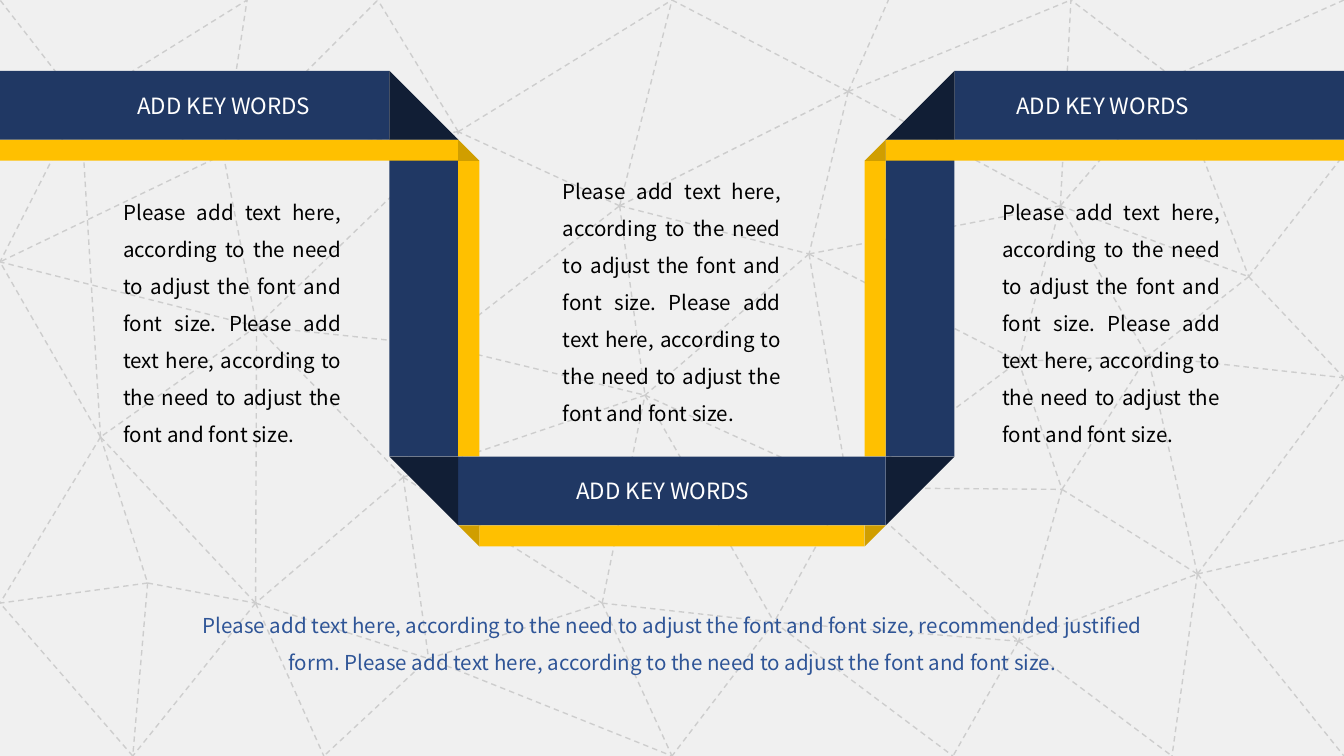
from lxml.etree import SubElement
from pptx import Presentation
from pptx.dml.color import RGBColor
from pptx.enum.dml import MSO_LINE
from pptx.enum.shapes import MSO_CONNECTOR, MSO_SHAPE
from pptx.enum.text import MSO_AUTO_SIZE, PP_ALIGN
from pptx.oxml.ns import qn
from pptx.util import Cm, Pt

PAPER = RGBColor(0xF0, 0xF0, 0xF0)
MESH_GREY = RGBColor(0xCD, 0xCD, 0xCD)
NAVY = RGBColor(0x20, 0x38, 0x64)
NAVY_FOLD = RGBColor(0x11, 0x1E, 0x35)
GOLD = RGBColor(0xFF, 0xC0, 0x00)
GOLD_FOLD = RGBColor(0xD0, 0x9E, 0x00)
WHITE = RGBColor(0xFF, 0xFF, 0xFF)
BLACK = RGBColor(0x00, 0x00, 0x00)
BLUE = RGBColor(0x2F, 0x55, 0x97)
FONT = "Noto Sans CJK SC"

# All lengths are in centimetres.
SLIDE_WIDTH, SLIDE_HEIGHT = 25.4, 14.29
BAND, TRIM = 1.3, 0.4  # widths of the navy ribbon and of its gold edge
LEFT_OUTER = 7.36
LEFT_INNER = LEFT_OUTER + BAND
RIGHT_OUTER = SLIDE_WIDTH - LEFT_OUTER
RIGHT_INNER = RIGHT_OUTER - BAND
TOP, BOTTOM = 1.34, 8.63  # upper edges of the horizontal ribbons
TOP_TRIM, BOTTOM_TRIM = TOP + BAND, BOTTOM + BAND

# Corners of the background mesh, and the corners each one is joined to
MESH_POINTS = {
    "A": (0, 0), "B": (4.67, 0), "C": (7.14, 0), "D": (12.7, 0),
    "E": (16.79, 0), "F": (20.24, 0), "G": (25.4, 0),
    "H": (1.52, 1.96), "I": (4.22, 2.92), "J": (8.66, 2.49),
    "K": (16.03, 1.73), "L": (22.15, 1.45), "M": (25.4, 2.92),
    "N": (0, 4.95), "O": (4.85, 6.17), "P": (8.31, 6.53),
    "Q": (11.71, 3.89), "R": (15.29, 4.8), "S": (20.04, 3.89),
    "T": (23.6, 5.23), "U": (1.9, 8.26), "V": (7.62, 9.02),
    "W": (12.19, 7.47), "X": (16.03, 9.22), "Y": (19.25, 6.83),
    "Z": (21.69, 6.73), "a": (25.4, 7.14), "b": (20.07, 9.25),
    "c": (0, 11.4), "d": (2.79, 11.02), "e": (4.83, 11.4),
    "f": (8.1, 12.45), "g": (11.38, 11.4), "h": (14.63, 11.76),
    "i": (19.25, 12.12), "j": (22.63, 10.85), "k": (25.4, 10.21),
    "l": (2.51, 14.29), "m": (6.12, 14.29), "n": (12.7, 14.29),
    "o": (18.01, 14.29), "p": (22.15, 14.29), "q": (25.4, 14.29),
}
MESH_LINKS = {
    "H": "ABN", "I": "BCHJNO", "O": "JNPUVe", "P": "JQVW", "V": "Wefg",
    "U": "HNcde", "d": "cel", "e": "flm", "l": "c", "f": "gmn", "g": "Whn",
    "Q": "DJKRW", "J": "CD", "D": "K", "K": "EFRS", "R": "SWXY", "W": "Xh",
    "X": "Ybhi", "h": "ino", "S": "FLTYZ", "Y": "Zb", "b": "Zij",
    "i": "jop", "L": "FGMT", "T": "MZa", "j": "Zakpq", "Z": "a",
}

SENTENCE = "Please add text here, according to the need to adjust the font and font size"
BODY = f"{SENTENCE}. {SENTENCE}."
SUMMARY = f"{SENTENCE}, recommended justified form. {SENTENCE}."


def add_mesh(slide):
    for start, neighbours in MESH_LINKS.items():
        for end in neighbours:
            ends = [Cm(value) for value in MESH_POINTS[start] + MESH_POINTS[end]]
            connector = slide.shapes.add_connector(MSO_CONNECTOR.STRAIGHT, *ends)
            connector.line.color.rgb = MESH_GREY
            connector.line.width = Pt(0.75)
            connector.line.dash_style = MSO_LINE.DASH
            SubElement(connector._element.spPr, qn("a:effectLst"))


def add_filled_shape(slide, kind, left, top, width, height, color):
    shape = slide.shapes.add_shape(kind, Cm(left), Cm(top), Cm(width), Cm(height))
    shape.shadow.inherit = False
    shape.fill.solid()
    shape.fill.fore_color.rgb = color
    shape.line.fill.background()
    return shape


def add_strip(slide, left, top, right, bottom, color):
    add_filled_shape(slide, MSO_SHAPE.RECTANGLE, left, top, right - left, bottom - top, color)


def add_fold(slide, left, top, size, rotation, color):
    """Add a corner triangle; its right angle is at the lower left before rotation."""
    fold = add_filled_shape(slide, MSO_SHAPE.RIGHT_TRIANGLE, left, top, size, size, color)
    fold.rotation = rotation


def add_ribbon(slide):
    sides = ((LEFT_OUTER, LEFT_INNER), (RIGHT_INNER, RIGHT_OUTER - BAND - TRIM))
    for navy_left, gold_left in sides:
        add_strip(slide, navy_left, TOP_TRIM, navy_left + BAND, BOTTOM, NAVY)
        add_strip(slide, gold_left, TOP_TRIM + TRIM, gold_left + TRIM, BOTTOM, GOLD)

    horizontals = (
        (0, LEFT_OUTER, 0, LEFT_INNER, TOP),
        (RIGHT_OUTER, SLIDE_WIDTH, RIGHT_INNER, SLIDE_WIDTH, TOP),
        (LEFT_INNER, RIGHT_INNER, LEFT_INNER + TRIM, RIGHT_INNER - TRIM, BOTTOM),
    )
    for navy_left, navy_right, gold_left, gold_right, top in horizontals:
        add_strip(slide, gold_left, top + BAND, gold_right, top + BAND + TRIM, GOLD)
        add_strip(slide, navy_left, top, navy_right, top + BAND, NAVY)

    folds = (
        (LEFT_OUTER, LEFT_INNER, TOP, 0),
        (RIGHT_INNER, RIGHT_INNER - TRIM, TOP, 270),
        (LEFT_OUTER, LEFT_INNER, BOTTOM, 180),
        (RIGHT_INNER, RIGHT_INNER - TRIM, BOTTOM, 90),
    )
    for navy_left, gold_left, top, rotation in folds:
        add_fold(slide, navy_left, top, BAND, rotation, NAVY_FOLD)
        add_fold(slide, gold_left, top + BAND, TRIM, rotation, GOLD_FOLD)


def add_text(slide, text, left, top, width, height, *, size=11, color=BLACK,
             align=PP_ALIGN.CENTER, line_spacing=1.5, wrap=True):
    box = slide.shapes.add_textbox(Cm(left), Cm(top), Cm(width), Cm(height))
    frame = box.text_frame
    frame.word_wrap = wrap
    frame.auto_size = MSO_AUTO_SIZE.SHAPE_TO_FIT_TEXT
    paragraph = frame.paragraphs[0]
    paragraph.alignment = align
    paragraph.line_spacing = line_spacing
    run = paragraph.add_run()
    run.text = text
    run.font.name = FONT
    run.font.size = Pt(size)
    run.font.color.rgb = color


def main():
    presentation = Presentation()
    presentation.slide_width = Cm(SLIDE_WIDTH)
    presentation.slide_height = Cm(SLIDE_HEIGHT)
    slide = presentation.slides.add_slide(presentation.slide_layouts[6])
    slide.background.fill.solid()
    slide.background.fill.fore_color.rgb = PAPER

    add_mesh(slide)
    add_ribbon(slide)
    for left, top in ((2.34, 1.61), (10.64, 8.9), (18.95, 1.61)):
        add_text(slide, "ADD KEY WORDS", left, top, 3.78, 0.74, size=12,
                 color=WHITE, line_spacing=1, wrap=False)
    for left, top in ((2.08, 3.43), (10.39, 3.02), (18.69, 3.43)):
        add_text(slide, BODY, left, top, 4.62, 5.18, align=PP_ALIGN.JUSTIFY)
    add_text(slide, SUMMARY, 3.33, 11.23, 18.77, 1.65, color=BLUE)

    presentation.save("out.pptx")


if __name__ == "__main__":
    main()
